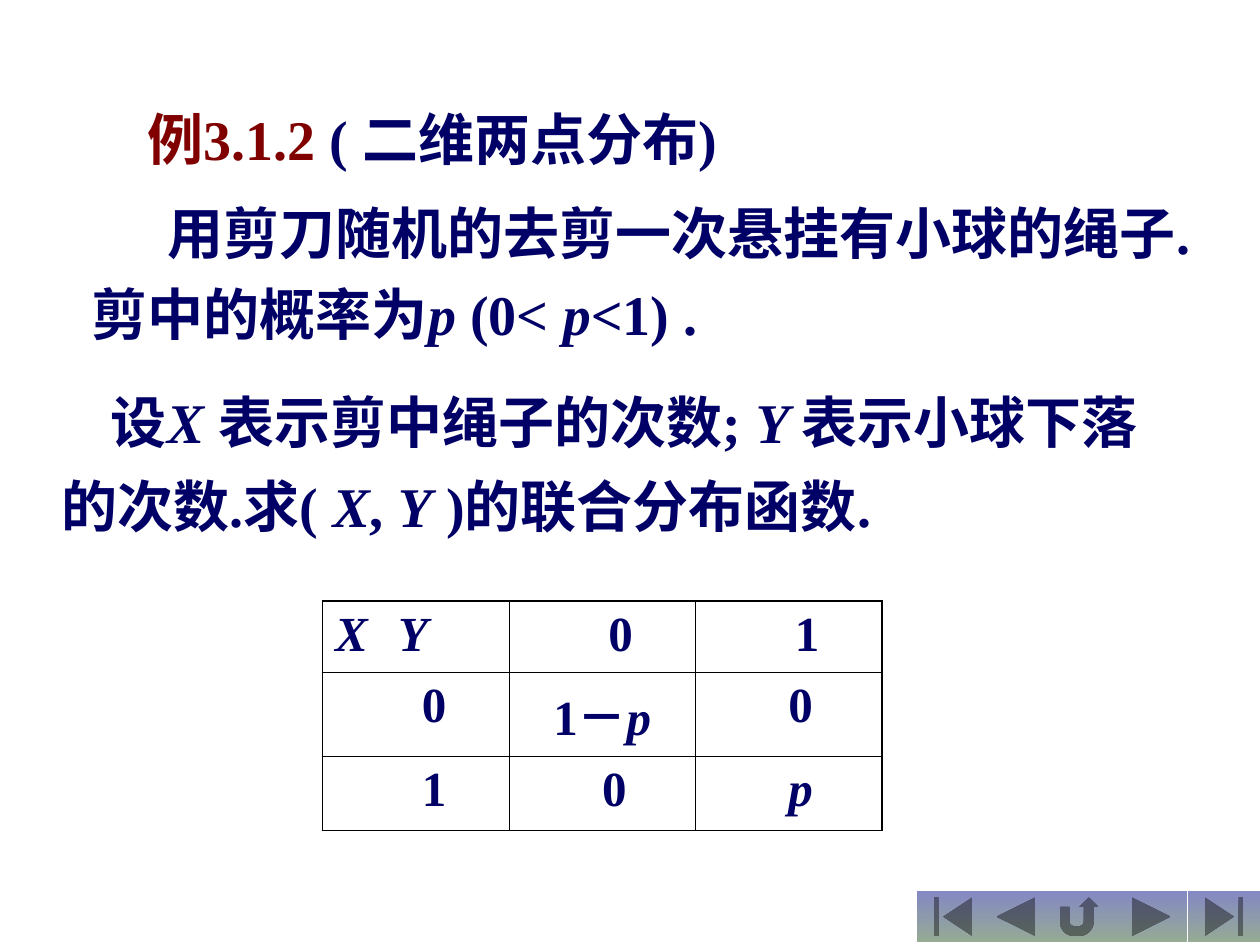
from lxml.etree import SubElement
from pptx import Presentation
from pptx.dml.color import RGBColor
from pptx.enum.shapes import MSO_SHAPE
from pptx.enum.text import MSO_ANCHOR, MSO_AUTO_SIZE, PP_ALIGN
from pptx.oxml.ns import qn
from pptx.util import Inches, Pt

COLORS = {"navy": "000066", "maroon": "800000", "black": "000000",
          "top": "8488C4", "bottom": "96AB94"}

prs = Presentation()
prs.slide_width, prs.slide_height = Inches(10), Inches(7.5)
col, row = prs.slide_width / 100, prs.slide_height / 100
s = prs.slides.add_slide(prs.slide_layouts[5])


def write(p, text, size=32, color="navy", align=PP_ALIGN.LEFT, left=0, first=0,
          tab=None, line=1.0, before=0):
    """Add text to a paragraph; parts between asterisks are italic."""
    pPr = p._p.get_or_add_pPr()
    pPr.set("marL", str(Inches(left)))
    pPr.set("indent", str(Inches(first)))
    p.alignment, p.line_spacing, p.space_before = align, line, Pt(before)
    if tab:
        tabs = SubElement(pPr, qn("a:tabLst"))
        SubElement(tabs, qn("a:tab"), pos=str(Inches(tab)), algn="l")
    for i, part in enumerate(text.split("*")):
        if part:
            r = p.add_run()
            r.text = part
            r.font.name, r.font.size, r.font.bold = "Times New Roman", Pt(size), True
            r.font.italic = i % 2 == 1
            r.font.color.rgb = RGBColor.from_string(COLORS[color])


def place(sp, x, y, w, h):
    """Position a text shape in hundredths of the slide and return its frame."""
    sp.left, sp.top = int(x * col), int(y * row)
    sp.width, sp.height = int(w * col), int(h * row)
    tf = sp.text_frame
    tf.word_wrap, tf.auto_size = True, MSO_AUTO_SIZE.NONE
    tf.vertical_anchor = MSO_ANCHOR.TOP
    return tf


# Title
p = place(s.shapes.title, 10.7, 10.4, 52.5, 8.53).paragraphs[0]
write(p, "例3.1.2", color="maroon")
write(p, " ( 二维两点分布)")

# Problem statement
tf = place(s.shapes.add_textbox(0, 0, 0, 0), 6.3, 18.93, 90.8, 18.4)
write(tf.paragraphs[0], "用剪刀随机的去剪一次悬挂有小球的绳子.剪中的概率为*p* (0< *p<*1) .",
      first=0.6, line=1.2)

# Joint distribution table
cells = [
    [("*X\tY*", 0), ("0", 0.29), ("1", 0.29)],
    [("0", 0.29), ("1－*p*", 0), ("0", 0.19)],
    [("1", 0.29), ("0", 0.19), ("*p*", 0.19)],
]
n = len(cells)
frame = s.shapes.add_table(n, n, int(25.6 * col), int(63.6 * row),
                           int(44.4 * col), int(23.07 * row))
table = frame.table
table.first_row = table.horz_banding = False
for i, height in enumerate((7.6, 7.6, 7.87)):
    table.rows[i].height = int(height * row)
    for j, (text, left) in enumerate(cells[i]):
        cell = table.cell(i, j)
        p = cell.text_frame.paragraphs[0]
        if "\t" in text:
            write(p, text, size=28, tab=1.05)
        else:
            write(p, text, size=28, align=PP_ALIGN.CENTER, left=left)
        tcPr = cell._tc.get_or_add_tcPr()
        outer = {"a:lnL": j == 0, "a:lnR": j == n - 1,
                 "a:lnT": i == 0, "a:lnB": i == n - 1}
        for tag, is_outer in outer.items():
            ln = SubElement(tcPr, qn(tag), w=str(Pt(1.08 if is_outer else 0.45)))
            fill = SubElement(ln, qn("a:solidFill"))
            SubElement(fill, qn("a:srgbClr"), val=COLORS["black"])
        cell.fill.background()

# Question
tf = place(s.shapes.add_textbox(0, 0, 0, 0), 3.9, 38.93, 96.1, 18.53)
write(tf.paragraphs[0], "设*X *表示剪中绳子的次数; *Y *表示小球下落", first=0.39, line=1.2)
write(tf.add_paragraph(), "的次数.求( *X*, *Y* )的联合分布函数.", line=0.7, before=20)

# Navigation buttons
buttons = [
    (MSO_SHAPE.ACTION_BUTTON_BEGINNING, 72.8),
    (MSO_SHAPE.ACTION_BUTTON_BACK_OR_PREVIOUS, 77.8),
    (MSO_SHAPE.ACTION_BUTTON_FORWARD_OR_NEXT, 88.5),
    (MSO_SHAPE.ACTION_BUTTON_END, 94.3),
    (MSO_SHAPE.ACTION_BUTTON_RETURN, 82.8),
]
for kind, x in buttons:
    sp = s.shapes.add_shape(kind, int(x * col), int(94.27 * row),
                            int(5.7 * col), int(5.47 * row))
    sp.shadow.inherit = False
    sp.line.fill.background()
    sp.fill.gradient()
    sp.fill.gradient_angle = 270
    for stop, name in zip(sp.fill.gradient_stops, ("top", "bottom")):
        stop.color.rgb = RGBColor.from_string(COLORS[name])

prs.save("out.pptx")
